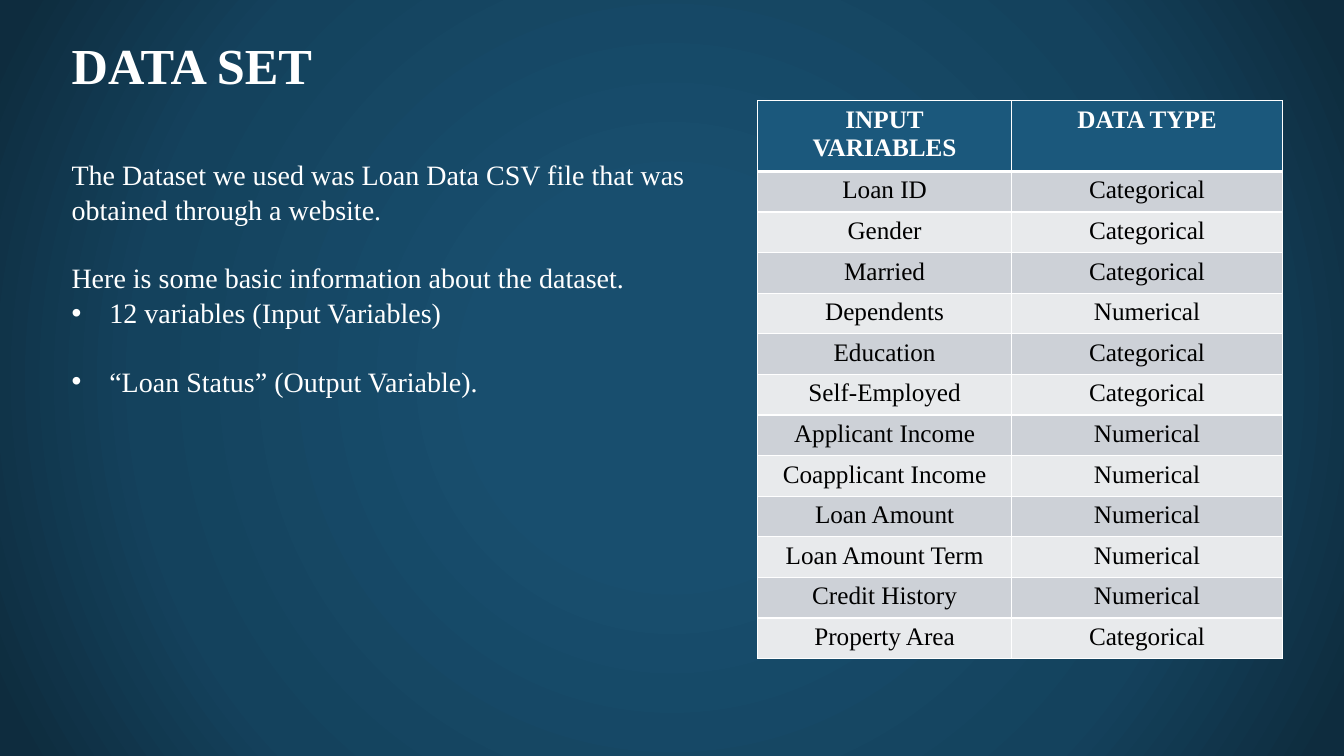
import pptx
import pptx.util
import pptx.dml.color
import pptx.enum.text
import pptx.oxml
import pptx.oxml.ns

Pt = pptx.util.Pt
RGBColor = pptx.dml.color.RGBColor
ALIGN = pptx.enum.text.PP_ALIGN
ANCHOR = pptx.enum.text.MSO_ANCHOR
NS = pptx.oxml.ns.nsdecls("a")

WHITE = RGBColor(0xFF, 0xFF, 0xFF)
BLACK = RGBColor(0x00, 0x00, 0x00)
HEADER = RGBColor(0x1B, 0x58, 0x7C)
BANDS = [RGBColor(0xE8, 0xEA, 0xEC), RGBColor(0xCD, 0xD1, 0xD7)]
GLOW = RGBColor(0x18, 0x4E, 0x6E)
MID = RGBColor(0x14, 0x42, 0x5D)
EDGE = RGBColor(0x0E, 0x2C, 0x3E)


def write(p, text, size=20, color=WHITE, bold=False, align=ALIGN.LEFT,
          before=0, spacing=1.0, bullet=False):
    if bullet:
        pPr = p._p.get_or_add_pPr()
        pPr.set("marL", str(Pt(27)))
        pPr.set("indent", str(Pt(-27)))
        pPr.append(pptx.oxml.parse_xml(f'<a:buFont {NS} typeface="Arial"/>'))
        pPr.append(pptx.oxml.parse_xml(f'<a:buChar {NS} char="•"/>'))
    p.text = text
    p.alignment = align
    p.space_before = Pt(before)
    p.line_spacing = spacing
    for r in p.runs:
        r.font.name = "Times New Roman"
        r.font.size = Pt(size)
        r.font.bold = bold
        r.font.color.rgb = color


def add_borders(cell, widths):
    tcPr = cell._tc.get_or_add_tcPr()
    for i, (side, width) in enumerate(widths.items()):
        tcPr.insert(i, pptx.oxml.parse_xml(
            f'<a:ln{side} {NS} w="{Pt(width)}"><a:solidFill>'
            f'<a:srgbClr val="{WHITE}"/></a:solidFill></a:ln{side}>'))


prs = pptx.Presentation()
prs.slide_width, prs.slide_height = Pt(960), Pt(540)
s = prs.slides.add_slide(prs.slide_layouts[5])

s.background.fill.solid()
fill = s.element.find(".//" + pptx.oxml.ns.qn("a:solidFill"))
stops = "".join(
    f'<a:gs pos="{pos * 1000}"><a:srgbClr val="{color}"/></a:gs>'
    for pos, color in [(0, GLOW), (23, GLOW), (69, MID), (97, EDGE)])
fill.getparent().replace(fill, pptx.oxml.parse_xml(
    f'<a:gradFill {NS} rotWithShape="1"><a:gsLst>{stops}</a:gsLst>'
    '<a:path path="circle"><a:fillToRect l="50000" t="50000" r="50000" b="50000"/>'
    '</a:path></a:gradFill>'))

title = s.shapes.title
title.left, title.top, title.width, title.height = Pt(44), Pt(21), Pt(190), Pt(51)
tf = title.text_frame
tf.word_wrap = True
tf.auto_size = pptx.enum.text.MSO_AUTO_SIZE.NONE
tf.vertical_anchor = ANCHOR.TOP
write(tf.paragraphs[0], "DATA SET", size=36, bold=True)

tf = s.shapes.add_textbox(Pt(44), Pt(108), Pt(480), Pt(201)).text_frame
tf.word_wrap = True
body = [
    ("The Dataset we used was Loan Data CSV file that was obtained through a website.", 0, False),
    ("Here is some basic information about the dataset.", 24, False),
    ("12 variables (Input Variables)", 0, True),
    ("“Loan Status” (Output Variable).", 24, True),
]
for i, (text, before, bullet) in enumerate(body):
    p = tf.add_paragraph() if i else tf.paragraphs[0]
    write(p, text, before=before, spacing=1.04, bullet=bullet)

rows = [
    ("INPUT\vVARIABLES", "DATA TYPE"),
    ("Loan ID", "Categorical"),
    ("Gender", "Categorical"),
    ("Married", "Categorical"),
    ("Dependents", "Numerical"),
    ("Education", "Categorical"),
    ("Self-Employed", "Categorical"),
    ("Applicant Income", "Numerical"),
    ("Coapplicant Income", "Numerical"),
    ("Loan Amount", "Numerical"),
    ("Loan Amount Term", "Numerical"),
    ("Credit History", "Numerical"),
    ("Property Area", "Categorical"),
]
table = s.shapes.add_table(
    len(rows), 2, Pt(541.2), Pt(72), Pt(375), Pt(398.4)).table
table.columns[0].width, table.columns[1].width = Pt(181.4), Pt(193.6)
for i, row in enumerate(rows):
    header = i == 0
    table.rows[i].height = Pt(50.4 if header else 29)
    for j, text in enumerate(row):
        cell = table.cell(i, j)
        cell.fill.solid()
        cell.fill.fore_color.rgb = HEADER if header else BANDS[i % 2]
        write(cell.text_frame.paragraphs[0], text, size=18, bold=header,
              color=WHITE if header else BLACK, align=ALIGN.CENTER)
        add_borders(cell, {"L": 1, "R": 1, "T": 3 if i == 1 else 1,
                           "B": 3 if header else 1})

prs.save("out.pptx")
